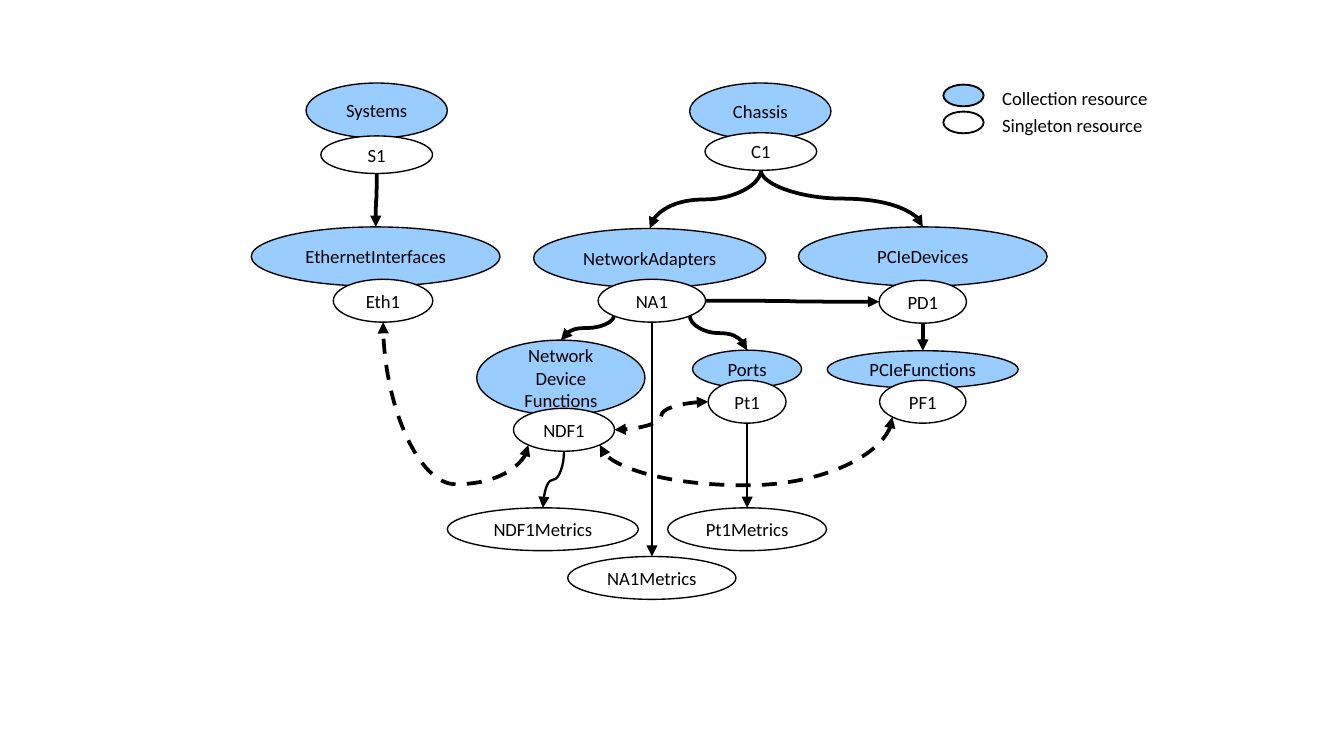
"""Build a slide that maps collection and singleton resources and their links."""
import math
from dataclasses import dataclass

import lxml.etree
import pptx
import pptx.dml.color
import pptx.enum.dml
import pptx.enum.shapes
import pptx.enum.text
import pptx.oxml.ns
import pptx.util

Cm = pptx.util.Cm
Pt = pptx.util.Pt
qn = pptx.oxml.ns.qn

BLACK = pptx.dml.color.RGBColor(0x00, 0x00, 0x00)
WHITE = pptx.dml.color.RGBColor(0xFF, 0xFF, 0xFF)
BLUE = pptx.dml.color.RGBColor(0x99, 0xCC, 0xFF)

DIAGONAL = math.sqrt(0.5)
SITES = {
    "top": (0, -1),
    "bottom": (0, 1),
    "left": (-1, 0),
    "right": (1, 0),
    "lower left": (-DIAGONAL, DIAGONAL),
    "lower right": (DIAGONAL, DIAGONAL),
}


@dataclass(frozen=True)
class Resource:
    """An ellipse, placed by its centre line and top edge in centimetres."""
    label: str
    center: float
    top: float
    width: float
    height: float = 0.81
    fill: pptx.dml.color.RGBColor = WHITE

    def site(self, name: str) -> tuple[float, float]:
        """Return the point of a connection site on the outline."""
        across, down = SITES[name]
        return (self.center + across * self.width / 2,
                self.top + (1 + down) * self.height / 2)


@dataclass(frozen=True)
class Link:
    """A curved arrow from a site of one resource to a site of another."""
    start: str
    start_site: str
    end: str
    end_site: str
    weight: float = 2
    mutual: bool = False
    bend: float = 0.5


RESOURCES = [
    Resource("Systems", 7.12, 1.57, 2.67, 1.04, BLUE),
    Resource("Chassis", 14.37, 1.57, 2.67, 1.07, BLUE),
    Resource("C1", 14.38, 2.51, 2.11, 0.71),
    Resource("NetworkAdapters", 12.28, 4.32, 4.39, 1.12, BLUE),
    Resource("Network\vDevice\vFunctions", 10.6, 6.43, 3.18, 1.42, BLUE),
    Resource("S1", 7.12, 2.57, 2.11, 0.71),
    Resource("NA1", 12.32, 5.28, 2.03),
    Resource("NDF1", 10.66, 7.72, 1.91),
    Resource("Ports", 14.12, 6.62, 2.06, 0.71, BLUE),
    Resource("Pt1", 14.12, 7.19, 1.47),
    Resource("EthernetInterfaces", 7.1, 4.29, 4.7, 1.12, BLUE),
    Resource("Eth1", 7.24, 5.28, 1.88),
    Resource("PCIeDevices", 17.44, 4.29, 4.7, 1.12, BLUE),
    Resource("PD1", 17.44, 5.3, 1.65),
    Resource("PCIeFunctions", 17.44, 6.63, 3.61, 0.71, BLUE),
    Resource("PF1", 17.44, 7.19, 1.63),
    Resource("Pt1Metrics", 14.12, 9.6, 3),
    Resource("NDF1Metrics", 10.26, 9.6, 3.61),
    Resource("NA1Metrics", 12.32, 10.52, 3.18),
]

LINKS = [
    Link("NA1", "bottom", "NA1Metrics", "top", 1.25),
    Link("C1", "bottom", "NetworkAdapters", "top"),
    Link("NA1", "lower left", "Network\vDevice\vFunctions", "top"),
    Link("NA1", "lower right", "Ports", "top"),
    Link("Pt1", "left", "NDF1", "right", mutual=True),
    Link("S1", "bottom", "EthernetInterfaces", "top"),
    Link("C1", "bottom", "PCIeDevices", "top"),
    Link("PD1", "bottom", "PCIeFunctions", "top"),
    Link("PF1", "lower left", "NDF1", "lower right", mutual=True, bend=2.44),
    Link("NDF1", "lower left", "Eth1", "bottom", mutual=True, bend=-0.32),
    Link("Pt1", "bottom", "Pt1Metrics", "top", 1.25),
    Link("NDF1", "bottom", "NDF1Metrics", "top", 1.25),
    Link("NA1", "right", "PD1", "left"),
]

LEGEND = [("Collection resource", BLUE, 1.6), ("Singleton resource", WHITE, 2.11)]


def write(text_frame: pptx.text.text.TextFrame, text: str) -> None:
    """Put black ten-point text in a frame."""
    text_frame.text = text
    for run in text_frame.paragraphs[0].runs:
        run.font.name = "Calibri"
        run.font.size = Pt(10)
        run.font.color.rgb = BLACK


def draw_ellipse(shapes, left: float, top: float, width: float, height: float,
                 fill: pptx.dml.color.RGBColor, weight: float):
    """Draw an outlined ellipse and return it."""
    shape = shapes.add_shape(pptx.enum.shapes.MSO_SHAPE.OVAL,
                             Cm(left), Cm(top), Cm(width), Cm(height))
    shape.shadow.inherit = False
    shape.fill.solid()
    shape.fill.fore_color.rgb = fill
    shape.line.color.rgb = BLACK
    shape.line.width = Pt(weight)
    return shape


def draw_resource(shapes, resource: Resource) -> None:
    """Draw a resource as a labelled ellipse."""
    shape = draw_ellipse(shapes, resource.center - resource.width / 2, resource.top,
                         resource.width, resource.height, resource.fill, 0.75)
    text_frame = shape.text_frame
    text_frame.word_wrap = True
    text_frame.margin_left = text_frame.margin_right = 0
    text_frame.margin_top = text_frame.margin_bottom = 0
    text_frame.vertical_anchor = pptx.enum.text.MSO_ANCHOR.MIDDLE
    write(text_frame, resource.label)
    text_frame.paragraphs[0].alignment = pptx.enum.text.PP_ALIGN.CENTER


def draw_link(shapes, link: Link, resources: dict[str, Resource]) -> None:
    """Draw a curved arrow, turned a quarter when it leaves vertically."""
    start_x, start_y = resources[link.start].site(link.start_site)
    end_x, end_y = resources[link.end].site(link.end_site)
    vertical = link.start_site not in ("left", "right")
    if vertical:
        middle_x, middle_y = (start_x + end_x) / 2, (start_y + end_y) / 2
        half_x, half_y = (end_x - start_x) / 2, (end_y - start_y) / 2
        start_x, end_x = middle_x - half_y, middle_x + half_y
        start_y, end_y = middle_y + half_x, middle_y - half_x
    connector = shapes.add_connector(pptx.enum.shapes.MSO_CONNECTOR.CURVE,
                                     Cm(start_x), Cm(start_y), Cm(end_x), Cm(end_y))
    connector.line.color.rgb = BLACK
    connector.line.width = Pt(link.weight)
    if link.mutual:
        connector.line.dash_style = pptx.enum.dml.MSO_LINE.DASH
    properties = connector._element.spPr
    if vertical:
        properties.find(qn("a:xfrm")).set("rot", "5400000")
    adjustments = properties.find(qn("a:prstGeom")).find(qn("a:avLst"))
    lxml.etree.SubElement(adjustments, qn("a:gd"), name="adj1",
                          fmla=f"val {round(link.bend * 100000)}")
    outline = properties.find(qn("a:ln"))
    for end in ("a:headEnd", "a:tailEnd") if link.mutual else ("a:tailEnd",):
        lxml.etree.SubElement(outline, qn(end), type="triangle")
    lxml.etree.SubElement(properties, qn("a:effectLst"))


def draw_legend(shapes) -> None:
    """Draw the grouped key to the two kinds of resource."""
    group = shapes.add_group_shape()
    for label, fill, top in LEGEND:
        draw_ellipse(group.shapes, 17.83, top, 0.76, 0.41, fill, 1)
        text_box = group.shapes.add_textbox(Cm(18.69), Cm(top - 0.09), Cm(3.3), Cm(0.69))
        text_box.text_frame.word_wrap = False
        write(text_box.text_frame, label)


def main() -> None:
    """Build and save the presentation."""
    presentation = pptx.Presentation()
    presentation.slide_width = Cm(25.4)
    presentation.slide_height = Cm(14.29)
    slide = presentation.slides.add_slide(presentation.slide_layouts[6])
    draw_legend(slide.shapes)
    for resource in RESOURCES:
        draw_resource(slide.shapes, resource)
    resources = {resource.label: resource for resource in RESOURCES}
    for link in LINKS:
        draw_link(slide.shapes, link, resources)
    presentation.save("out.pptx")


if __name__ == "__main__":
    main()
